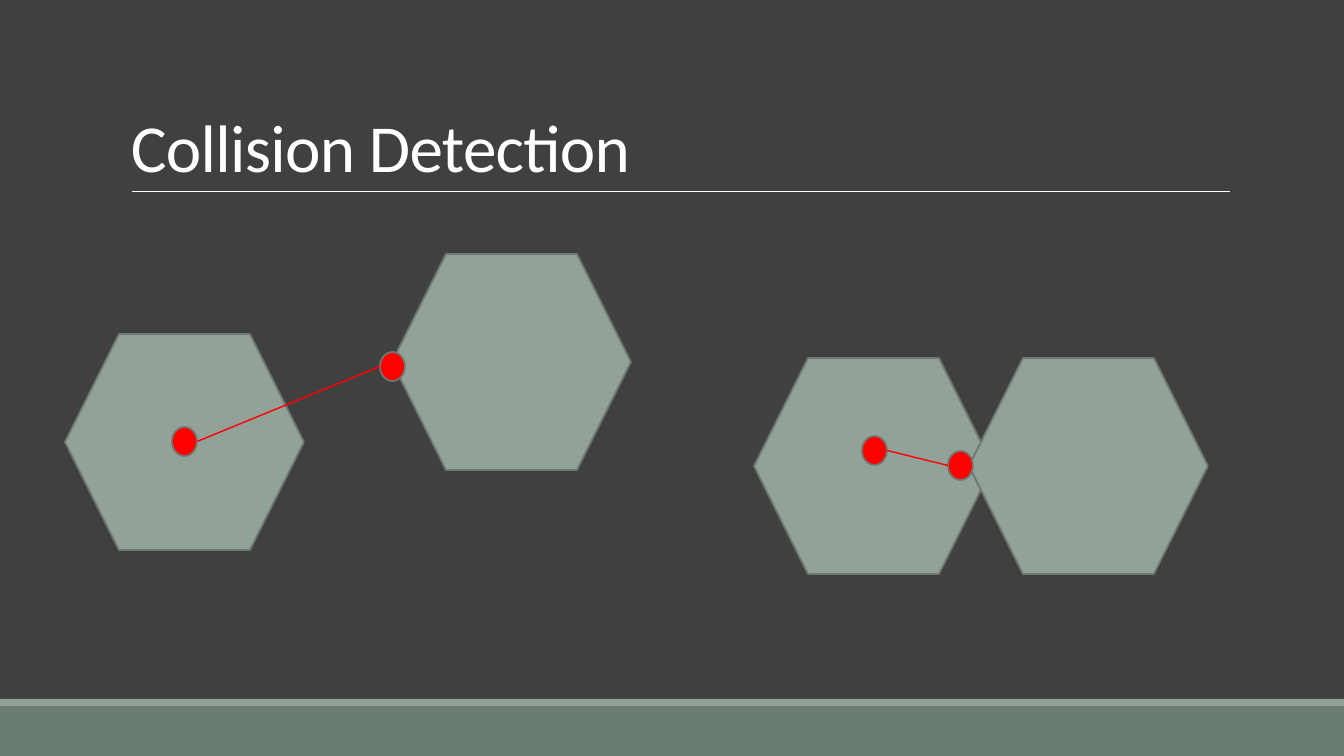
from dataclasses import dataclass

from lxml.etree import SubElement
from pptx import Presentation
from pptx.dml.color import RGBColor
from pptx.enum.shapes import MSO_CONNECTOR as Connector, MSO_SHAPE as Shape
from pptx.enum.text import MSO_ANCHOR as Anchor
from pptx.oxml.ns import qn
from pptx.util import Emu, Pt

EMU_PER_PX = 914400 / 100.8
SLIDE_W, SLIDE_H = 1344, 756
HEX_W, HEX_H = 239, 216
DOT_W, DOT_H = 25, 29


@dataclass(frozen=True)
class Theme:
    background: str = "404040"
    footer: str = "6B7D72"
    sage: str = "93A299"
    outline: str = "6D7871"
    marker: str = "FF0000"
    light: str = "FFFFFF"
    font: str = "Calibri"
    title_size: float = 48
    outline_width: float = 1.25
    link_width: float = 1
    rule_width: float = 0.5


def px(length):
    return Emu(round(length * EMU_PER_PX))


def rgb(color):
    return RGBColor.from_string(color)


class SlideBuilder:
    def __init__(self, slide, theme):
        self.slide = slide
        self.theme = theme
        backdrop = slide.background.fill
        backdrop.solid()
        backdrop.fore_color.rgb = rgb(theme.background)

    def shape(self, preset, left, top, width, height, fill, outlined=True):
        figure = self.slide.shapes.add_shape(
            preset, px(left), px(top), px(width), px(height))
        figure.shadow.inherit = False
        figure.fill.solid()
        figure.fill.fore_color.rgb = rgb(fill)
        if outlined:
            figure.line.color.rgb = rgb(self.theme.outline)
            figure.line.width = Pt(self.theme.outline_width)
        else:
            figure.line.fill.background()

    def line(self, start, end, color, width):
        stroke = self.slide.shapes.add_connector(
            Connector.STRAIGHT, *map(px, (*start, *end)))
        stroke.line.color.rgb = rgb(color)
        stroke.line.width = Pt(width)
        SubElement(stroke._element.spPr, qn("a:effectLst"))

    def text(self, wording, left, top, width, height, *, size, color,
             anchor=Anchor.TOP, line_spacing=1.0, tracking=0):
        """Add a text box; tracking is letter spacing in points."""
        box = self.slide.shapes.add_textbox(
            px(left), px(top), px(width), px(height))
        frame = box.text_frame
        frame.word_wrap = True
        frame.vertical_anchor = anchor
        paragraph = frame.paragraphs[0]
        paragraph.line_spacing = line_spacing
        run = paragraph.add_run()
        run.text = wording
        run.font.name = self.theme.font
        run.font.size = Pt(size)
        run.font.color.rgb = rgb(color)
        run._r.get_or_add_rPr().set("spc", str(round(tracking * 100)))

    def collision_test(self, hexagons, center, contact):
        """Draw two hexagons and the link from one's center to the contact dot."""
        theme = self.theme
        for left, top in hexagons:
            self.shape(Shape.HEXAGON, left, top, HEX_W, HEX_H, theme.sage)
        for left, top in (center, contact):
            self.shape(Shape.OVAL, left, top, DOT_W, DOT_H, theme.marker)
        self.line((center[0] + DOT_W, center[1] + DOT_H / 2),
                  (contact[0], contact[1] + DOT_H / 2),
                  theme.marker, theme.link_width)


def main():
    deck = Presentation()
    deck.slide_width, deck.slide_height = px(SLIDE_W), px(SLIDE_H)
    theme = Theme()
    page = SlideBuilder(deck.slides.add_slide(deck.slide_layouts[6]), theme)

    for top, height, color in ((706, 50, theme.footer), (699, 7, theme.sage)):
        page.shape(Shape.RECTANGLE, 0, top, SLIDE_W, height, color, outlined=False)
    page.line((132, 191), (1230, 191), theme.light, theme.rule_width)
    page.text("Collision Detection", 121, 31, 1109, 160,
              size=theme.title_size, color=theme.light, anchor=Anchor.BOTTOM,
              line_spacing=0.85, tracking=-0.5)

    page.collision_test(hexagons=((65, 334), (392, 254)),
                        center=(172, 427), contact=(380, 352))
    page.collision_test(hexagons=((754, 358), (969, 358)),
                        center=(862, 436), contact=(948, 451))

    deck.save("out.pptx")


if __name__ == "__main__":
    main()
